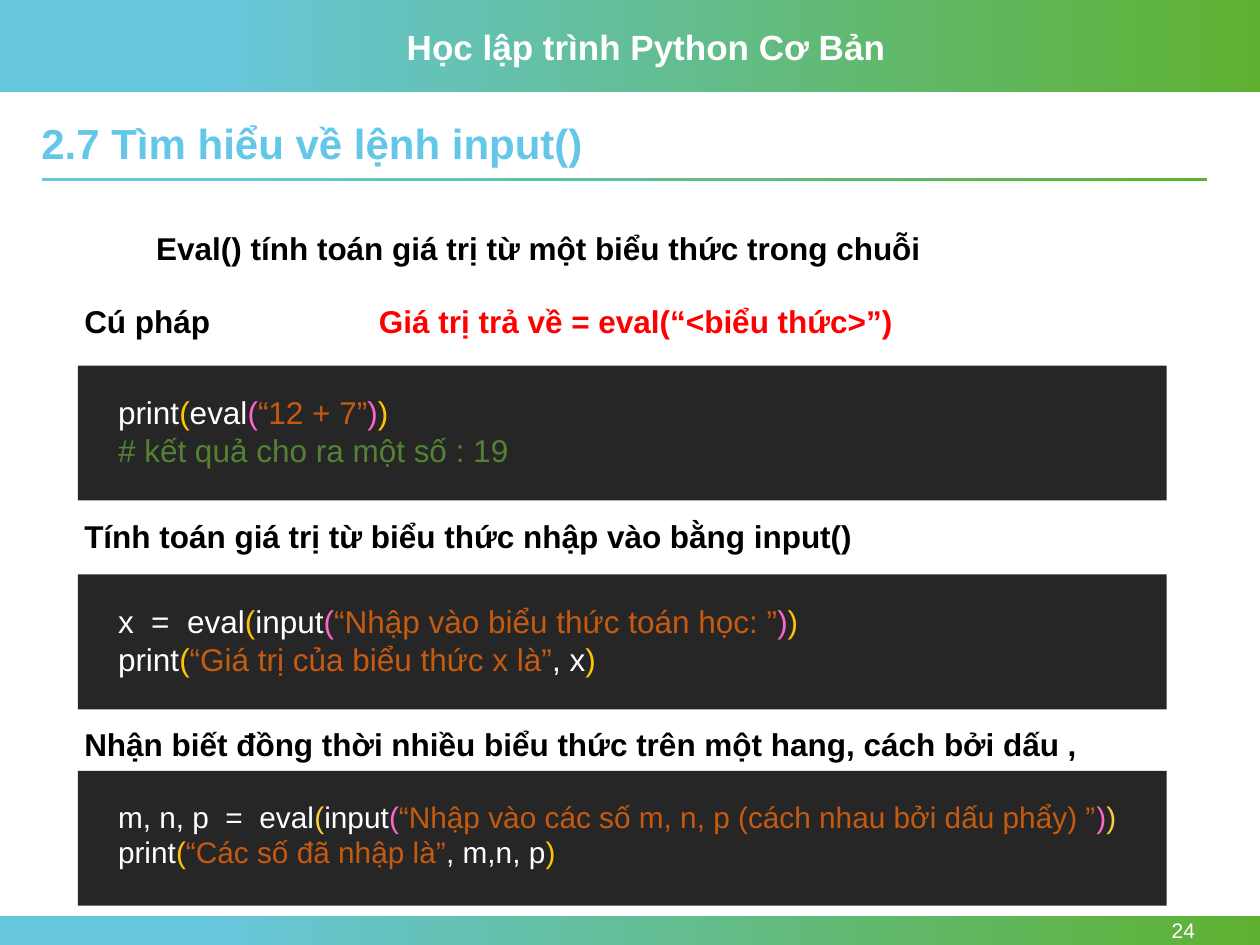
from pptx import Presentation
from pptx.dml.color import RGBColor
from pptx.enum.shapes import MSO_SHAPE
from pptx.enum.text import MSO_ANCHOR, PP_ALIGN
from pptx.util import Cm, Pt

RECT = MSO_SHAPE.RECTANGLE
TOP, MIDDLE = MSO_ANCHOR.TOP, MSO_ANCHOR.MIDDLE
LEFT, RIGHT = PP_ALIGN.LEFT, PP_ALIGN.RIGHT
rgb = RGBColor.from_string

WHITE, BLACK, RED, DARK = "FFFFFF", "000000", "FF0000", "262626"
SKY, GREEN, TITLE = "67C7DF", "5EB130", "64C7E9"
GOLD, AMBER, YELLOW = "FFC500", "FFC000", "FECC36"
PINK, RUST, MOSS = "FF66CC", "C55A11", "548235"


def style(para, size, color=None, bold=False):
    font = para.font
    font.name, font.size, font.bold = "Arial", Pt(size), bold
    if color:
        font.color.rgb = rgb(color)


def add_text(x, y, w, h, text="", size=18, color=BLACK, bold=True):
    box = slide.shapes.add_textbox(Cm(x), Cm(y), Cm(w), Cm(h))
    frame = box.text_frame
    frame.word_wrap = True
    if text:
        frame.text = text
        style(frame.paragraphs[0], size, color, bold)
    return frame


prs = Presentation()
prs.slide_width, prs.slide_height = Cm(25.4), Cm(19.05)
slide = prs.slides.add_slide(prs.slide_layouts[5])

# Header band, footer band and the rule under the title
for x, y, w, h in [(0, 0, 25.4, 1.85), (0, 18.47, 25.4, 0.58),
                   (0.84, 3.59, 23.5, 0.07)]:
    band = slide.shapes.add_shape(RECT, Cm(x), Cm(y), Cm(w), Cm(h))
    band.shadow.inherit = False
    band.line.fill.background()
    band.fill.gradient()
    band.fill.gradient_angle = 0
    for stop, place, color in zip(band.fill.gradient_stops, (0.15, 1), (SKY, GREEN)):
        stop.position = place
        stop.color.rgb = rgb(color)

add_text(7.95, 0.38, 10.16, 1.12, "Học lập trình Python Cơ Bản", 20, WHITE)

page = add_text(22, 18.47, 2.34, 0.58, "24", 12, WHITE, False)
page.vertical_anchor = MIDDLE
page.paragraphs[0].alignment = RIGHT

title = slide.shapes.title
title.left, title.top, title.width, title.height = Cm(0.58), Cm(2.36), Cm(23.5), Cm(1.17)
title.text = "2.7 Tìm hiểu về lệnh input()"
title.text_frame.vertical_anchor = TOP
head = title.text_frame.paragraphs[0]
head.alignment = LEFT
head.line_spacing = 0.9
style(head, 24, TITLE, True)

# Headings
for x, y, w, text, color in [
    (2.9, 4.5, 19.63, "Eval() tính toán giá trị từ một biểu thức trong chuỗi", BLACK),
    (1.45, 5.97, 4.67, "Cú pháp", BLACK),
    (7.39, 5.97, 12.4, "Giá trị trả về = eval(“<biểu thức>”)", RED),
    (1.45, 10.29, 20.55, "Tính toán giá trị từ biểu thức nhập vào bằng input()", BLACK),
    (1.45, 14.5, 20.55,
     "Nhận biết đồng thời nhiều biểu thức trên một hang, cách bởi dấu ,", BLACK),
]:
    add_text(x, y, w, 1.02, text, color=color)

# Code panels: top, text size, lines of coloured pieces
panels = [
    (7.37, 18, [
        [("print", WHITE), ("(", GOLD), ("eval", WHITE), ("(", PINK),
         ("“12 + 7”", RUST), (")", PINK), (")", GOLD)],
        [("# kết quả cho ra một số : 19", MOSS)],
    ]),
    (11.58, 18, [
        [("x  =  eval", WHITE), ("(", AMBER), ("input", WHITE), ("(", PINK),
         ("“Nhập vào biểu thức toán học: ”", RUST), (")", PINK), (")", AMBER)],
        [("print", WHITE), ("(", GOLD), ("“Giá trị của biểu thức x là”", RUST),
         (", x", WHITE), (")", GOLD)],
    ]),
    (15.54, 17, [
        [("m, n, p  =  eval", WHITE), ("(", YELLOW), ("input", WHITE), ("(", PINK),
         ("“Nhập vào các số m, n, p (cách nhau bởi dấu phẩy) ”", RUST),
         (")", PINK), (")", YELLOW)],
        [("print", WHITE), ("(", GOLD), ("“Các số đã nhập là”", RUST),
         (", m,n, p", WHITE), (")", GOLD)],
    ]),
]
for top, size, lines in panels:
    panel = slide.shapes.add_shape(RECT, Cm(1.57), Cm(top), Cm(21.95), Cm(2.72))
    panel.shadow.inherit = False
    panel.fill.solid()
    panel.fill.fore_color.rgb = rgb(DARK)
    panel.line.fill.background()
    code = add_text(2.13, top + 0.43, 21.03, 1.8)
    for i, line in enumerate(lines):
        para = code.add_paragraph() if i else code.paragraphs[0]
        style(para, size)
        for text, color in line:
            run = para.add_run()
            run.text = text
            run.font.color.rgb = rgb(color)

prs.save("out.pptx")
